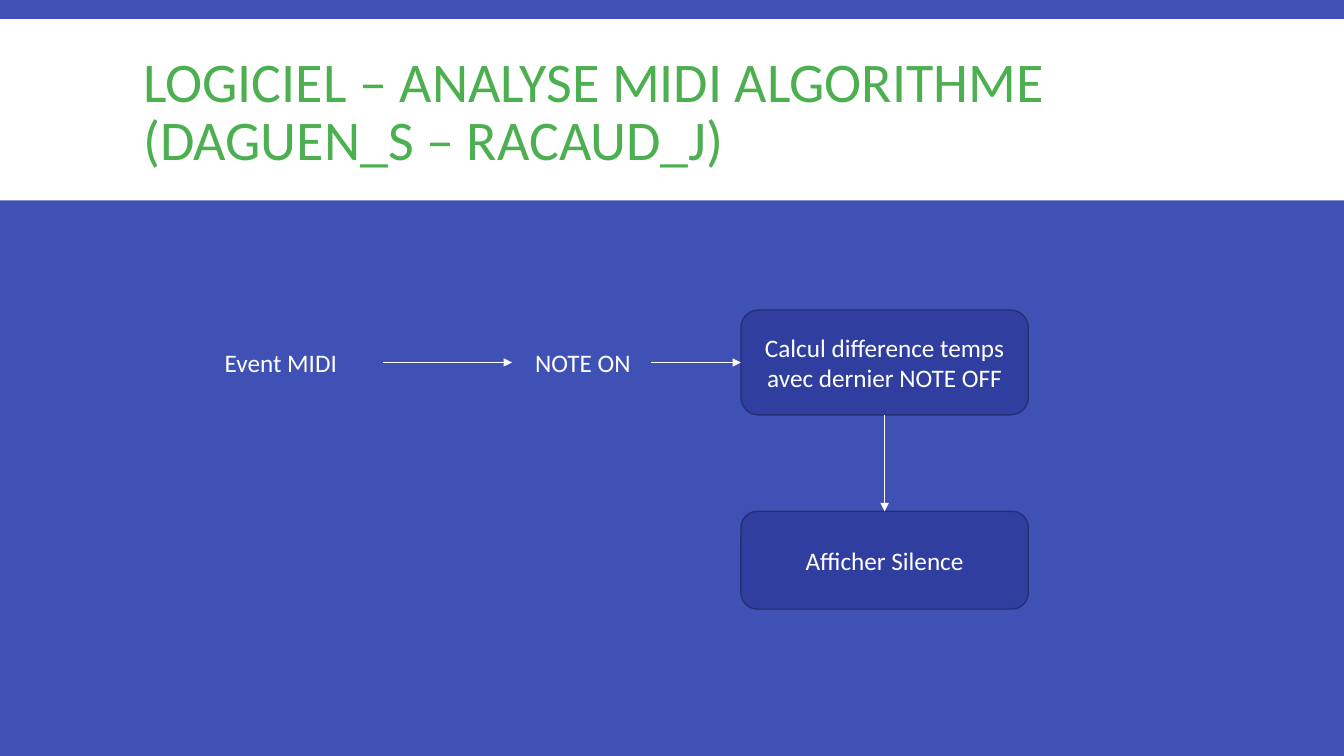
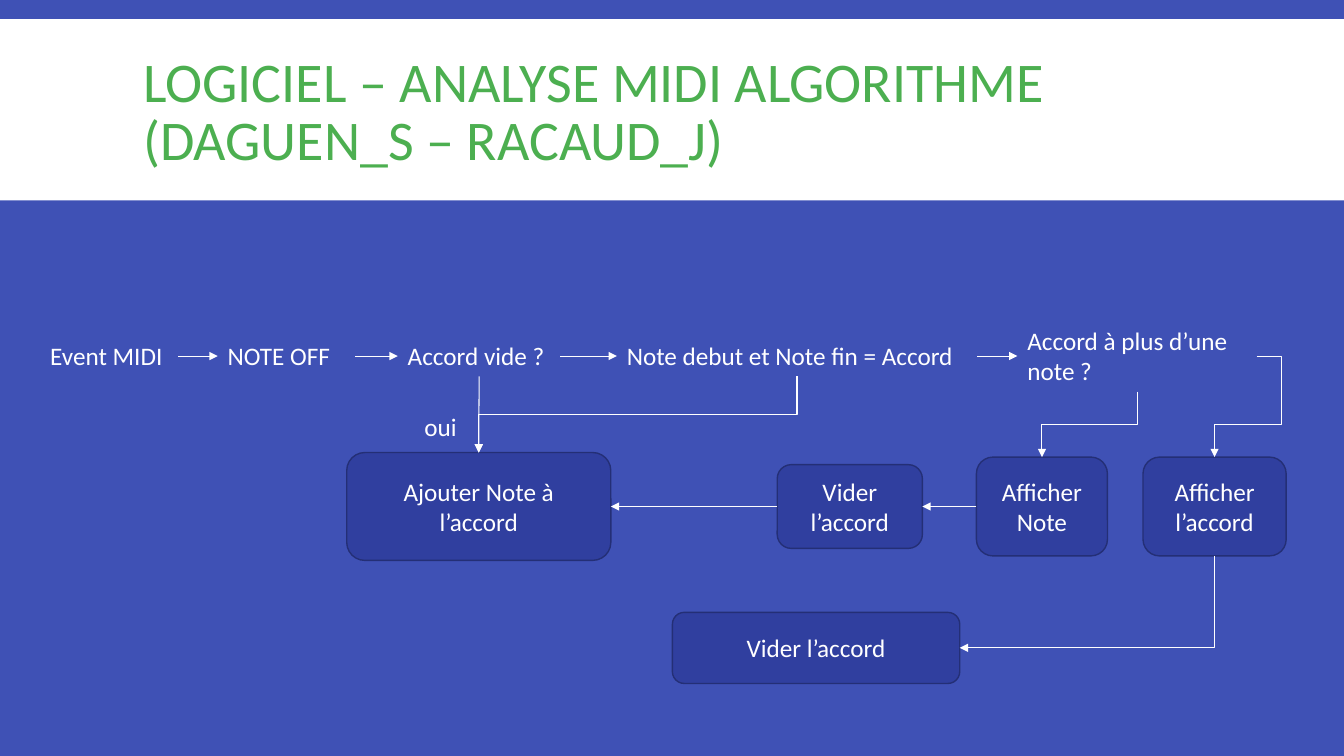
import lxml.etree
import pptx
import pptx.dml.color
import pptx.enum.shapes
import pptx.enum.text
import pptx.oxml.ns
import pptx.util

COLORS = {"background": "3F51B5", "band": "FFFFFF", "title": "4CAF50",
          "text": "FFFFFF", "box": "303F9F", "border": "242F76"}
TITLE = "LOGICIEL – ANALYSE MIDI ALGORITHME (DAGUEN_S – RACAUD_J)"
TOP, LEFT, BOTTOM, RIGHT = range(4)
LABEL_HEIGHT = 5.39
# Bent routes: preset geometry and its adjustments
ROUTES = {"step": ("bentConnector3", [50000]),
          "corner": ("bentConnector2", []),
          "around": ("bentConnector4", [-60500, 67600])}

presentation = pptx.Presentation()
presentation.slide_width = pptx.util.Inches(13.33)
presentation.slide_height = pptx.util.Inches(7.5)
# A grid of 100 columns and 100 rows
COLUMN = presentation.slide_width / 100
ROW = presentation.slide_height / 100
qn = pptx.oxml.ns.qn


def color(name):
    return pptx.dml.color.RGBColor.from_string(COLORS[name])


def write(shape, text, size=18, fill="text", align="LEFT", anchor="TOP", spacing=None):
    frame = shape.text_frame
    frame.word_wrap = True
    frame.vertical_anchor = getattr(pptx.enum.text.MSO_ANCHOR, anchor)
    paragraph = frame.paragraphs[0]
    paragraph.text = text
    paragraph.alignment = getattr(pptx.enum.text.PP_ALIGN, align)
    paragraph.line_spacing = spacing
    font = paragraph.runs[0].font
    font.name = "Calibri"
    font.size = pptx.util.Pt(size)
    font.color.rgb = color(fill)


# Each node: text, left column, centre row, columns wide, rows high, boxed
# Each link: start node, side, end node (or free point), side, bent route
diagrams = [
    ({"event": ("Event MIDI", 15.98, 47.95, 12.53, LABEL_HEIGHT, False),
      "note on": ("NOTE ON", 39.08, 47.95, 9.38, LABEL_HEIGHT, False),
      "difference": ("Calcul difference temps avec dernier NOTE OFF",
                     55.13, 47.95, 21.38, 13.87, True),
      "silence": ("Afficher Silence", 55.13, 74.1, 21.38, 12.93, True)},
     [("event", RIGHT, (38.1, 47.95), None, None),
      ("note on", RIGHT, "difference", LEFT, None),
      ("difference", BOTTOM, "silence", TOP, None)]),
    ({"event": ("Event MIDI", 3, 47.1, 10.25, LABEL_HEIGHT, False),
      "note off": ("NOTE OFF", 16.2, 47.1, 10.25, LABEL_HEIGHT, False),
      "empty": ("Accord vide ?", 29.6, 47.1, 12.1, LABEL_HEIGHT, False),
      "same": ("Note debut et Note fin = Accord", 45.9, 47.1, 26.8, LABEL_HEIGHT, False),
      "several": ("Accord à plus d’une note ?", 75.7, 47.1, 17.8, 9.4, False),
      "yes": ("oui", 30.83, 56.4, 5.2, LABEL_HEIGHT, False),
      "add": ("Ajouter Note à l’accord", 25.8, 67, 19.65, 14.27, True),
      "clear": ("Vider l’accord", 57.83, 67, 10.8, 11.07, True),
      "show note": ("Afficher Note", 72.65, 67, 9.75, 13.07, True),
      "show chord": ("Afficher l’accord", 85.05, 67, 10.65, 13.07, True),
      "clear last": ("Vider l’accord", 50.03, 85.7, 21.38, 9.4, True)},
     [("event", RIGHT, "note off", LEFT, None),
      ("note off", RIGHT, "empty", LEFT, None),
      ("empty", RIGHT, "same", LEFT, None),
      ("same", RIGHT, "several", LEFT, None),
      ("empty", BOTTOM, "add", TOP, None),
      ("show note", LEFT, "clear", RIGHT, None),
      ("clear", LEFT, "add", RIGHT, None),
      ("same", BOTTOM, "add", TOP, "step"),
      ("several", BOTTOM, "show note", TOP, "step"),
      ("several", RIGHT, "show chord", TOP, "around"),
      ("show chord", BOTTOM, "clear last", RIGHT, "corner")]),
]

# Shared background and title position
background = presentation.slide_master.background.fill
background.solid()
background.fore_color.rgb = color("background")
layout = presentation.slide_layouts[5]
layout_title = layout.placeholders[0]
layout_title.left, layout_title.top = int(9.9 * COLUMN), int(4.13 * ROW)
layout_title.width, layout_title.height = int(80.27 * COLUMN), int(22 * ROW)

for nodes, links in diagrams:
    slide = presentation.slides.add_slide(layout)
    write(slide.shapes.title, TITLE, size=40, fill="title", anchor="MIDDLE", spacing=0.85)

    # The white band is drawn once and moved to the layout, behind its title
    if len(presentation.slides) == 1:
        band = slide.shapes.add_shape(
            pptx.enum.shapes.MSO_SHAPE.RECTANGLE,
            0, int(2.53 * ROW), presentation.slide_width, int(24 * ROW))
        band.shadow.inherit = False
        band.fill.solid()
        band.fill.fore_color.rgb = color("band")
        band.line.fill.background()
        layout_title.element.addprevious(band.element)

    # Labels and boxes
    shapes = {}
    for name, (text, left, centre, width, height, boxed) in nodes.items():
        place = [int(length) for length in (left * COLUMN, (centre - height / 2) * ROW,
                                            width * COLUMN, height * ROW)]
        if boxed:
            shape = slide.shapes.add_shape(
                pptx.enum.shapes.MSO_SHAPE.ROUNDED_RECTANGLE, *place)
            shape.shadow.inherit = False
            shape.fill.solid()
            shape.fill.fore_color.rgb = color("box")
            shape.line.color.rgb = color("border")
            shape.line.width = pptx.util.Pt(1)
            write(shape, text, align="CENTER", anchor="MIDDLE")
        else:
            shape = slide.shapes.add_textbox(*place)
            write(shape, text)
            shape.text_frame.auto_size = pptx.enum.text.MSO_AUTO_SIZE.SHAPE_TO_FIT_TEXT
        shapes[name] = shape

    # Arrows
    for start, start_side, end, end_side, route in links:
        kind = pptx.enum.shapes.MSO_CONNECTOR
        connector = slide.shapes.add_connector(
            kind.ELBOW if route else kind.STRAIGHT, 0, 0, 0, 0)
        connector.begin_connect(shapes[start], start_side)
        if end in shapes:
            connector.end_connect(shapes[end], end_side)
        else:
            connector.end_x, connector.end_y = int(end[0] * COLUMN), int(end[1] * ROW)
        connector.line.color.rgb = color("text")
        connector.line.width = pptx.util.Pt(0.75)
        properties = connector.element.spPr
        lxml.etree.SubElement(properties.find(qn("a:ln")), qn("a:tailEnd"), type="triangle")
        lxml.etree.SubElement(properties, qn("a:effectLst"))
        if not route:
            continue
        preset, adjustments = ROUTES[route]
        geometry = properties.find(qn("a:prstGeom"))
        geometry.set("prst", preset)
        for number, value in enumerate(adjustments, 1):
            lxml.etree.SubElement(geometry.find(qn("a:avLst")), qn("a:gd"),
                                  name=f"adj{number}", fmla=f"val {value}")
        # A route that leaves downwards is a quarter turn around its centre
        if start_side == BOTTOM:
            width, height = connector.width, connector.height
            connector.left += (width - height) // 2
            connector.top += (height - width) // 2
            connector.width, connector.height = height, width
            frame = properties.find(qn("a:xfrm"))
            frame.attrib.pop("flipH", None)
            frame.set("rot", "5400000")

presentation.save("out.pptx")
